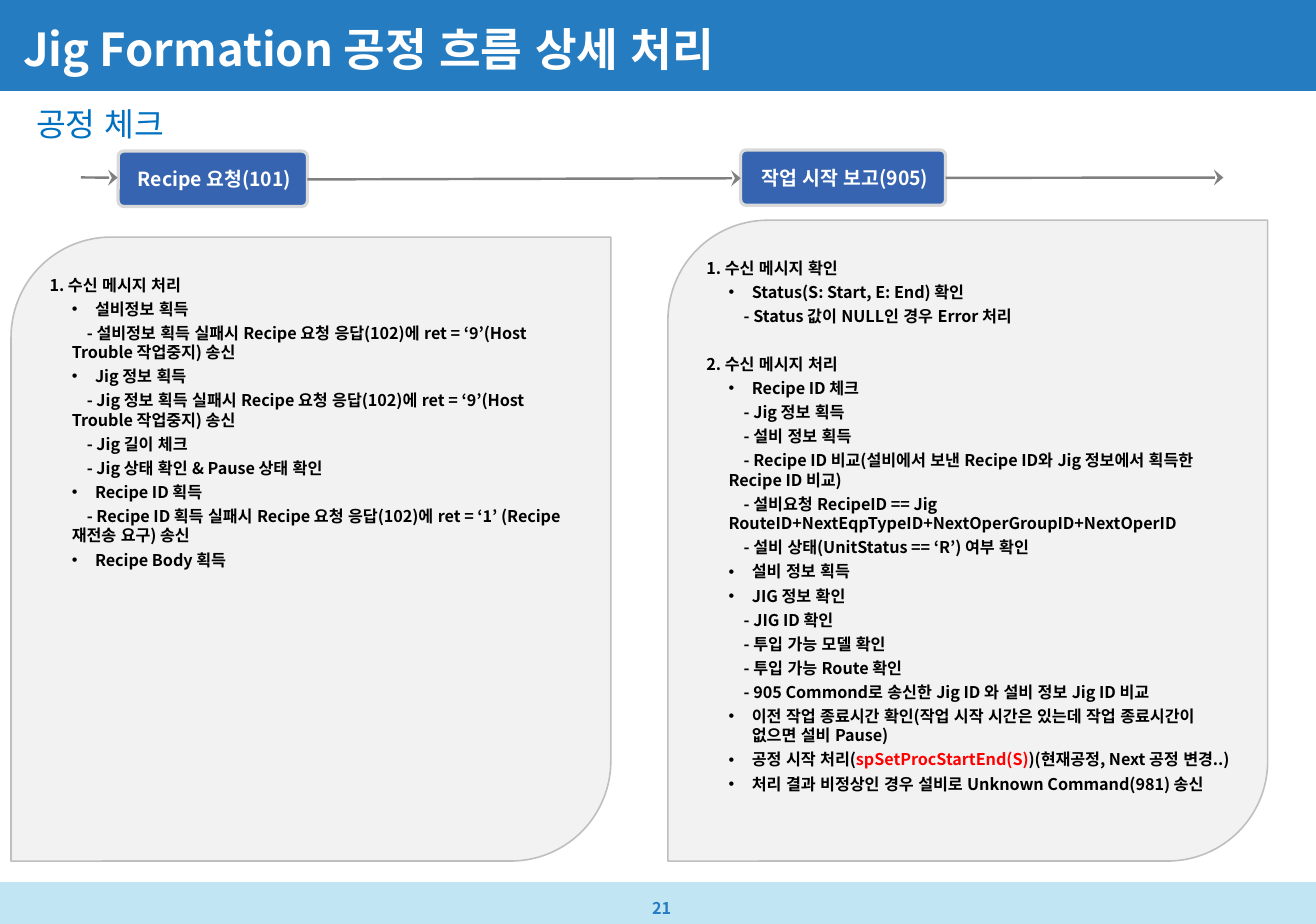
from lxml import etree
from pptx import Presentation
from pptx import util as u
from pptx.dml.color import RGBColor
from pptx.enum import lang, shapes, text
from pptx.oxml.ns import qn

THEME = {
    "font": "Noto Sans CJK KR", "bullet_font": "Arial",
    "header": "257CC0", "footer": "C2E5F4", "subtitle": "0070C0",
    "panel": "F2F2F2", "panel_line": "BFBFBF",
    "step": "3664B0", "step_line": "D9D9D9", "arrow": "808080",
    "white": "FFFFFF", "ink": "000000", "accent": "FF0000",
    "title_size": 28, "subtitle_size": 20, "step_size": 12, "text_size": 10,
}
SHAPE = shapes.MSO_SHAPE
MIDDLE = text.MSO_ANCHOR.MIDDLE

presentation = Presentation()
presentation.slide_width, presentation.slide_height = u.Inches(11.3), u.Inches(7.93)
slide = presentation.slides.add_slide(presentation.slide_layouts[1])


def grid(*cells):
    """Turn counts of grid cells, 113 to the slide's width, into lengths."""
    return [u.Emu(round(cell * presentation.slide_width / 113)) for cell in cells]


def write(frame, words, size=THEME["text_size"], color=THEME["ink"], bold=True,
          align=text.PP_ALIGN.LEFT, spacing=None, before=0, margin=0, indent=0,
          bullet=None, anchor=None, insets=None):
    """Add one paragraph; words between bars take the accent colour."""
    frame.word_wrap = True
    if anchor is not None:
        frame.vertical_anchor = anchor
    if insets:
        (frame.margin_left, frame.margin_top,
         frame.margin_right, frame.margin_bottom) = grid(*insets)
    paragraph = frame.paragraphs[0] if not frame.text else frame.add_paragraph()
    paragraph.alignment = align
    paragraph.line_spacing = spacing
    paragraph.space_before = u.Pt(before)
    properties = paragraph._p.get_or_add_pPr()
    left, first = grid(margin, indent)
    properties.set("marL", str(left))
    properties.set("indent", str(first))
    if bullet:
        etree.SubElement(properties, qn("a:buFont")).set("typeface", THEME["bullet_font"])
        etree.SubElement(properties, qn("a:buChar")).set("char", bullet)
    else:
        etree.SubElement(properties, qn("a:buNone"))
    for position, part in enumerate(words.split("|")):
        run = paragraph.add_run()
        run.text = part
        run.font.size, run.font.bold, run.font.name = u.Pt(size), bold, THEME["font"]
        run.font.language_id = lang.MSO_LANGUAGE_ID.KOREAN
        run.font.color.rgb = RGBColor.from_string(THEME["accent"] if position % 2 else color)
        east_asian = etree.SubElement(run._r.get_or_add_rPr(), qn("a:ea"))
        east_asian.set("typeface", THEME["font"])


# Header band, footer band, panels and process steps
blocks = {}
for name, kind, place, fill, line, weight in [
    ("header", SHAPE.RECTANGLE, (0, 0, 113, 7.8), "header", None, 0),
    ("footer", SHAPE.RECTANGLE, (0, 75.7, 113, 3.59), "footer", None, 0),
    ("recipe panel", SHAPE.ROUND_2_DIAG_RECTANGLE, (0.95, 20.35, 51.5, 53.55),
     "panel", "panel_line", 1),
    ("start panel", SHAPE.ROUND_2_DIAG_RECTANGLE, (57.35, 18.9, 51.5, 55),
     "panel", "panel_line", 1),
    ("recipe step", SHAPE.ROUNDED_RECTANGLE, (10.15, 12.97, 16.25, 4.75),
     "step", "step_line", 2),
    ("start step", SHAPE.ROUNDED_RECTANGLE, (63.6, 12.87, 17.6, 4.75),
     "step", "step_line", 2),
]:
    shape = blocks[name] = slide.shapes.add_shape(kind, *grid(*place))
    shape.shadow.inherit = False
    shape.fill.solid()
    shape.fill.fore_color.rgb = RGBColor.from_string(THEME[fill])
    if line:
        shape.line.color.rgb = RGBColor.from_string(THEME[line])
        shape.line.width = u.Pt(weight)
    else:
        shape.line.fill.background()

# Title and subtitle, brought in front of the header band
title, subtitle = slide.shapes.title, slide.placeholders[1]
for placeholder, place in [(title, (1, 2.25, 97.4, 4.3)), (subtitle, (2.1, 8.4, 108.7, 4.8))]:
    placeholder.left, placeholder.top, placeholder.width, placeholder.height = grid(*place)
    placeholder.element.getparent().append(placeholder.element)
write(title.text_frame, "Jig Formation 공정 흐름 상세 처리", size=THEME["title_size"],
      color=THEME["white"], spacing=0.9, anchor=text.MSO_ANCHOR.BOTTOM, insets=(1, 0.5, 1, 0))
write(subtitle.text_frame, "공정 체크", size=THEME["subtitle_size"], color=THEME["subtitle"],
      bold=False, spacing=0.9, anchor=MIDDLE, insets=(1, 0.5, 1, 0.5))

# Page number
page_number = slide.shapes.add_textbox(*grid(51.2, 76.45, 11.6, 2.8))
write(page_number.text_frame, "21", color=THEME["header"], spacing=1.1,
      anchor=MIDDLE, insets=(4.8, 0.8, 0, 0.8))

# Step labels
for name, label in [("recipe step", "Recipe 요청(101)"), ("start step", "작업 시작 보고(905)")]:
    blocks[name].adjustments[0] = 0.1
    write(blocks[name].text_frame, label, size=THEME["step_size"], color=THEME["white"],
          align=text.PP_ALIGN.CENTER, anchor=MIDDLE, insets=(1.1, 0.4, 0.8, 0.4))

# Arrows along the process
for ends in [(6.95, 15.23, 10.1, 15.25), (26.4, 15.4, 63.6, 15.3), (81.2, 15.27, 105.05, 15.24)]:
    arrow = slide.shapes.add_connector(shapes.MSO_CONNECTOR.STRAIGHT, *grid(*ends))
    arrow.line.color.rgb = RGBColor.from_string(THEME["arrow"])
    arrow.line.width = u.Pt(1.5)
    head = etree.SubElement(arrow.line._get_or_add_ln(), qn("a:tailEnd"))
    head.set("type", "stealth")
    head.set("w", "lg")
    etree.SubElement(arrow.element.spPr, qn("a:effectLst"))

# Panel lists: "•" opens a bullet, "-" an indented detail, a digit a heading
panels = {
    "recipe panel": [
        "1. 수신 메시지 처리",
        "•설비정보 획득",
        "- 설비정보 획득 실패시 Recipe 요청 응답(102)에 ret = ‘9’(Host Trouble 작업중지) 송신",
        "•Jig 정보 획득",
        "- Jig 정보 획득 실패시 Recipe 요청 응답(102)에 ret = ‘9’(Host Trouble 작업중지) 송신",
        "- Jig 길이 체크",
        "- Jig 상태 확인 & Pause 상태 확인",
        "•Recipe ID 획득",
        "- Recipe ID 획득 실패시 Recipe 요청 응답(102)에 ret = ‘1’ (Recipe 재전송 요구) 송신",
        "•Recipe Body 획득",
    ],
    "start panel": [
        "1. 수신 메시지 확인",
        "•Status(S: Start, E: End) 확인",
        "- Status 값이 NULL인 경우 Error 처리",
        "2. 수신 메시지 처리",
        "•Recipe ID 체크",
        "- Jig 정보 획득",
        "- 설비 정보 획득",
        "- Recipe ID 비교(설비에서 보낸 Recipe ID와 Jig 정보에서 획득한 Recipe ID 비교)",
        "- 설비요청 RecipeID == Jig RouteID+NextEqpTypeID+NextOperGroupID+NextOperID",
        "- 설비 상태(UnitStatus == ‘R’) 여부 확인",
        "•설비 정보 획득",
        "•JIG 정보 확인",
        "- JIG ID 확인",
        "- 투입 가능 모델 확인",
        "- 투입 가능 Route 확인",
        "- 905 Commond로 송신한 Jig ID 와 설비 정보 Jig ID 비교",
        "•이전 작업 종료시간 확인(작업 시작 시간은 있는데 작업 종료시간이 없으면 설비 Pause)",
        "•공정 시작 처리(|spSetProcStartEnd(S)|)(현재공정, Next 공정 변경..)",
        "•처리 결과 비정상인 경우 설비로 Unknown Command(981) 송신",
    ],
}
LEVELS = {
    "•": {"margin": 3.9, "indent": -2, "bullet": "•", "before": 2.9, "spacing": u.Pt(12)},
    "-": {"margin": 1.9, "indent": 1.3, "before": 2.9, "spacing": u.Pt(12)},
    "1": {"spacing": u.Pt(14.4)},
    "2": {"before": 17.8, "spacing": u.Pt(12)},
}
for name, lines in panels.items():
    for line in lines:
        write(blocks[name].text_frame, line.lstrip("•"), anchor=text.MSO_ANCHOR.TOP,
              insets=(0.8, 0.4, 0.4, 0.4), **LEVELS[line[0]])

presentation.save("out.pptx")
